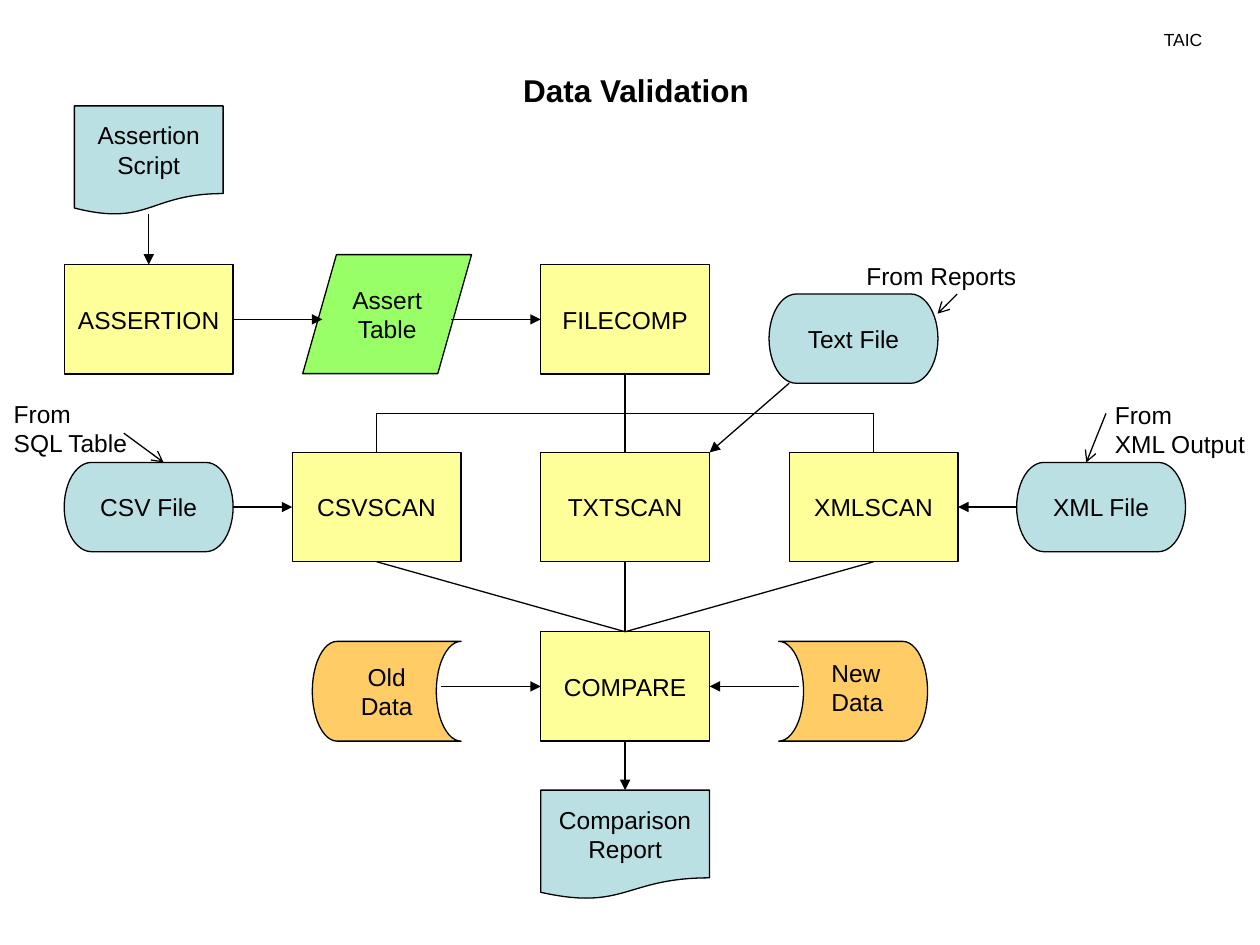
from lxml.etree import SubElement
from pptx import Presentation
from pptx.dml.color import RGBColor
from pptx.enum.shapes import MSO_CONNECTOR, MSO_SHAPE
from pptx.enum.text import MSO_ANCHOR, MSO_AUTO_SIZE, PP_ALIGN
from pptx.oxml.ns import qn
from pptx.util import Pt

HUES = {"ink": "000000", "step": "FFFF99", "file": "BBE0E3", "table": "99FF66", "data": "FFCC66"}
INK = RGBColor.from_string(HUES["ink"])
TOP, LEFT, BOTTOM, RIGHT = range(4)
WIDE, HIGH = 96.5, 62.5
COLS = [167 + 142 * i for i in range(3)]
MIDS = [col + WIDE / 2 for col in COLS]
EDGE = 36.75
ROWS = [151.25, 258.5, 361, 451.5]
FLOW, SCAN, MERGE = [row + HIGH / 2 for row in ROWS[:3]]
BUS = 236.25


def write(frame, text, size=14, align=PP_ALIGN.CENTER, anchor=MSO_ANCHOR.MIDDLE, wrap=False, bold=False):
    frame.auto_size = MSO_AUTO_SIZE.NONE
    frame.word_wrap = wrap
    frame.vertical_anchor = anchor
    for i, line in enumerate(text.split("\n")):
        para = frame.add_paragraph() if i else frame.paragraphs[0]
        para.alignment = align
        run = para.add_run()
        run.text = line
        run.font.name = "Arial"
        run.font.size = Pt(size)
        run.font.bold = bold
        run.font.color.rgb = INK


deck = Presentation()
deck.slide_width, deck.slide_height = Pt(720), Pt(540)
slide = deck.slides.add_slide(deck.slide_layouts[5])
shapes = slide.shapes

title = shapes.title
title.left, title.top, title.width, title.height = Pt(147.5), Pt(36.75), Pt(432), Pt(29)
write(title.text_frame, "Data Validation", 18, anchor=MSO_ANCHOR.TOP, wrap=True, bold=True)

tag = shapes.add_textbox(Pt(646), Pt(13), Pt(60), Pt(19.5))
write(tag.text_frame, "TAIC", 10, anchor=MSO_ANCHOR.TOP, wrap=True)

RECT, PAPER = MSO_SHAPE.RECTANGLE, MSO_SHAPE.FLOWCHART_DOCUMENT
PILL, STORE = MSO_SHAPE.FLOWCHART_TERMINATOR, MSO_SHAPE.FLOWCHART_STORED_DATA
nodes = [
    ("script", "Assertion\nScript", PAPER, "file", 42.5, 60.5, 85, HIGH),
    ("assert", "ASSERTION", RECT, "step", EDGE, ROWS[0], WIDE, HIGH),
    ("table", "Assert\nTable", MSO_SHAPE.FLOWCHART_DATA, "table", 173, 145.5, WIDE, 68),
    ("filecomp", "FILECOMP", RECT, "step", COLS[1], ROWS[0], WIDE, HIGH),
    ("csvscan", "CSVSCAN", RECT, "step", COLS[0], ROWS[1], WIDE, HIGH),
    ("txtscan", "TXTSCAN", RECT, "step", COLS[1], ROWS[1], WIDE, HIGH),
    ("xmlscan", "XMLSCAN", RECT, "step", COLS[2], ROWS[1], WIDE, HIGH),
    ("compare", "COMPARE", RECT, "step", COLS[1], ROWS[2], WIDE, HIGH),
    ("report", "Comparison\nReport", PAPER, "file", COLS[1], ROWS[3], WIDE, HIGH),
    ("csv", "CSV File", PILL, "file", EDGE, SCAN - 25.5, WIDE, 51),
    ("xml", "XML File", PILL, "file", 581, SCAN - 25.5, WIDE, 51),
    ("txt", "Text File", PILL, "file", 439.5, 168, WIDE, 51),
    ("old", "Old\nData", STORE, "data", 178.5, 366.5, 85, 57),
    ("new", "", STORE, "data", 445, 366.5, 85, 57),
]
made = {}
for name, text, kind, hue, x, y, w, h in nodes:
    node = made[name] = shapes.add_shape(kind, Pt(x), Pt(y), Pt(w), Pt(h))
    node.shadow.inherit = False
    node.fill.solid()
    node.fill.fore_color.rgb = RGBColor.from_string(HUES[hue])
    node.line.color.rgb = INK
    node.line.width = Pt(0.75)
    if text:
        write(node.text_frame, text)
made["new"].rotation = 180

labels = [
    ("New\nData", 468, 372.5, 44, 41),
    ("From\nSQL Table", 0.75, 224.5, 81.5, 41),
    ("From\nXML Output", 630, 225, 89, 41),
    ("From Reports", 488, 145.5, 100, 24.5),
]
for text, x, y, w, h in labels:
    label = shapes.add_textbox(Pt(x), Pt(y), Pt(w), Pt(h))
    write(label.text_frame, text, align=PP_ALIGN.LEFT, anchor=MSO_ANCHOR.TOP)

links = [
    ((85, 122.5), ("assert", TOP), "triangle"),
    (("assert", RIGHT), (184.25, FLOW), "triangle"),
    ((258, FLOW), ("filecomp", LEFT), "triangle"),
    (("csv", RIGHT), ("csvscan", LEFT), "triangle"),
    (("xml", LEFT), ("xmlscan", RIGHT), "triangle"),
    (("filecomp", BOTTOM), ("txtscan", TOP), None),
    (("csvscan", BOTTOM), ("compare", TOP), None),
    (("txtscan", BOTTOM), ("compare", TOP), None),
    (("xmlscan", BOTTOM), ("compare", TOP), None),
    ((MIDS[0], BUS), (MIDS[2], BUS), None),
    ((MIDS[0], BUS), ("csvscan", TOP), None),
    ((MIDS[2], BUS), ("xmlscan", TOP), None),
    ((451, 219), (405.5, 258.5), "triangle"),
    ((252, MERGE), ("compare", LEFT), "triangle"),
    ((456.5, MERGE), ("compare", RIGHT), "triangle"),
    (("compare", BOTTOM), ("report", TOP), "triangle"),
    ((70.75, 247.5), (93.5, 264.25), "arrow"),
    ((547, 168), (535.75, 179.25), "arrow"),
    ((632, BUS), (620.75, 264.25), "arrow"),
]
for start, end, head in links:
    spots = [(0, 0) if spot[0] in made else spot for spot in (start, end)]
    (ax, ay), (bx, by) = spots
    link = shapes.add_connector(MSO_CONNECTOR.STRAIGHT, Pt(ax), Pt(ay), Pt(bx), Pt(by))
    if start[0] in made:
        link.begin_connect(made[start[0]], start[1])
    if end[0] in made:
        link.end_connect(made[end[0]], end[1])
    link.line.color.rgb = INK
    link.line.width = Pt(0.75)
    props = link._element.spPr
    if head:
        SubElement(props.find(qn("a:ln")), qn("a:tailEnd"), type=head)
    SubElement(props, qn("a:effectLst"))

deck.save("out.pptx")
